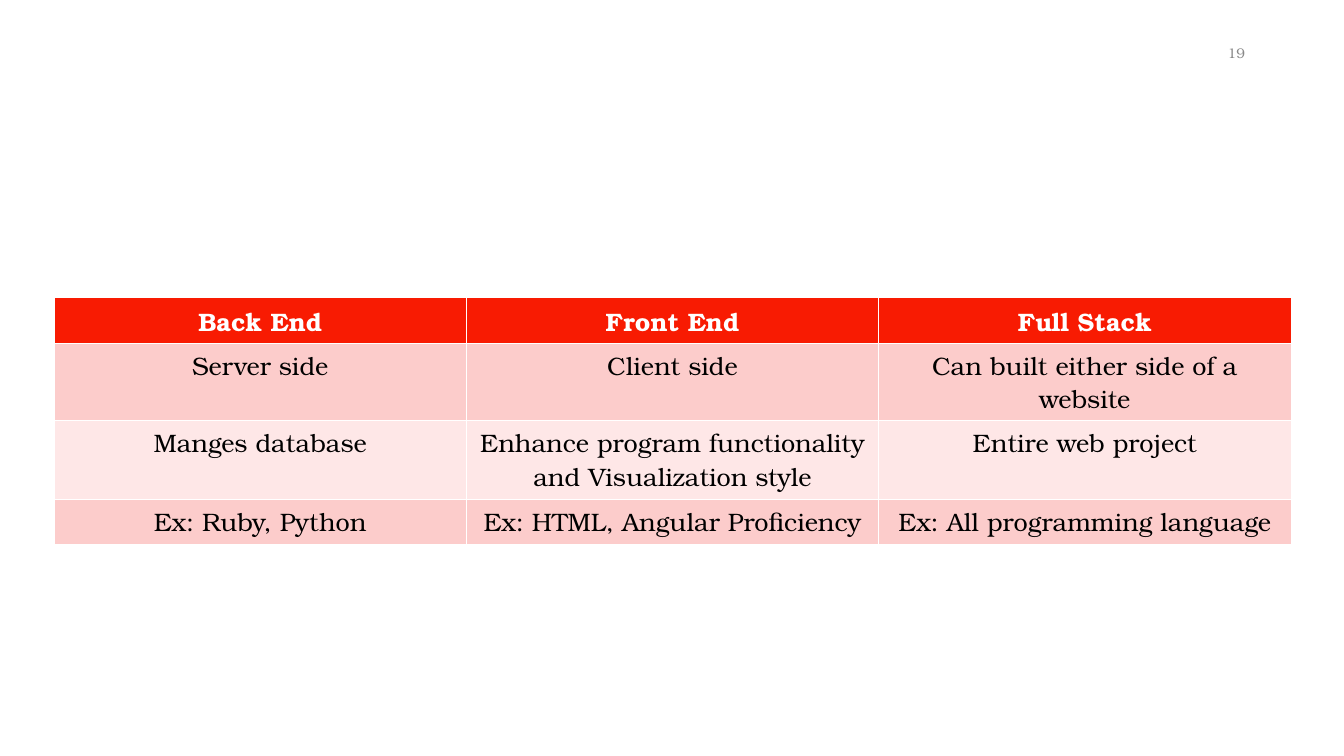
"""Build a slide that compares back end, front end and full stack work."""
import pptx
import pptx.util
import pptx.dml.color
import pptx.enum.text
import pptx.oxml
import pptx.oxml.ns

SCALE = 9080
FONT = "TeX Gyre Bonum"
COLORS = {
    "white": "FFFFFF",
    "black": "000000",
    "gray": "898989",
    "head": "F81B02",
    "dark": "FCCCCB",
    "light": "FEE7E7",
}
ALIGN = pptx.enum.text.PP_ALIGN
ANCHOR = pptx.enum.text.MSO_ANCHOR
THIN, THICK = 0.45, 1.47
ROWS = [
    ("Back End", "Front End", "Full Stack"),
    ("Server side", "Client side", "Can built either side of a website"),
    ("Manges database",
     "Enhance program functionality and Visualization style",
     "Entire web project"),
    ("Ex: Ruby, Python", "Ex: HTML, Angular Proficiency",
     "Ex: All programming language"),
]
HEIGHTS = [46, 77, 79, 45]
FILLS = ["head", "dark", "light", "dark"]


def px(size):
    """Turn pixels into EMU."""
    return pptx.util.Emu(size * SCALE)


def rgb(name):
    """Look up a named color."""
    return pptx.dml.color.RGBColor.from_string(COLORS[name])


class Deck:
    """Hold the style and the current slide."""

    def __init__(self, wide, high):
        """Start a deck with one blank slide."""
        self.deck = pptx.Presentation()
        self.deck.slide_width = px(wide)
        self.deck.slide_height = px(high)
        self.slide = self.deck.slides.add_slide(self.deck.slide_layouts[6])

    def put(self, frame, text, align, size, color, bold=False):
        """Fill a text frame with one styled paragraph."""
        frame.word_wrap = True
        para = frame.paragraphs[0]
        para.alignment = align
        run = para.add_run()
        run.text = text
        style = {"name": FONT, "size": pptx.util.Pt(size), "bold": bold}
        for key, value in style.items():
            setattr(run.font, key, value)
        run.font.color.rgb = rgb(color)

    def label(self, box, text, align, size, color):
        """Add a text box centered on its height."""
        frame = self.slide.shapes.add_textbox(*map(px, box)).text_frame
        frame.vertical_anchor = ANCHOR.MIDDLE
        self.put(frame, text, align, size, color)

    def border(self, cell, widths):
        """Draw white borders around a cell."""
        props = cell._tc.get_or_add_tcPr()
        for side, width in widths.items():
            props.append(pptx.oxml.parse_xml(
                f'<a:ln{side} {pptx.oxml.ns.nsdecls("a")} '
                f'w="{pptx.util.Pt(width)}"><a:solidFill>'
                f'<a:srgbClr val="{COLORS["white"]}"/>'
                f'</a:solidFill></a:ln{side}>'))

    def table(self, left, top, wide, rows, heights, fills):
        """Add a table with a bold header row."""
        cols = len(rows[0])
        table = self.slide.shapes.add_table(
            len(rows), cols, px(left), px(top),
            px(wide * cols), px(sum(heights))).table
        for col in table.columns:
            col.width = px(wide)
        for r, texts in enumerate(rows):
            table.rows[r].height = px(heights[r])
            head = r == 0
            widths = {"L": THIN, "R": THIN,
                      "T": THICK if r == 1 else THIN,
                      "B": THICK if head else THIN}
            for c, text in enumerate(texts):
                cell = table.cell(r, c)
                self.border(cell, widths)
                cell.fill.solid()
                cell.fill.fore_color.rgb = rgb(fills[r])
                self.put(cell.text_frame, text, ALIGN.CENTER, 18,
                         "white" if head else "black", head)

    def save(self):
        """Save the deck."""
        self.deck.save("out.pptx")


def main():
    """Build and save the slide."""
    deck = Deck(1343, 755)
    deck.label((1153, 35, 101, 35), "19", ALIGN.RIGHT, 10, "gray")
    deck.table(54, 297, 412, ROWS, HEIGHTS, FILLS)
    deck.save()


if __name__ == "__main__":
    main()
